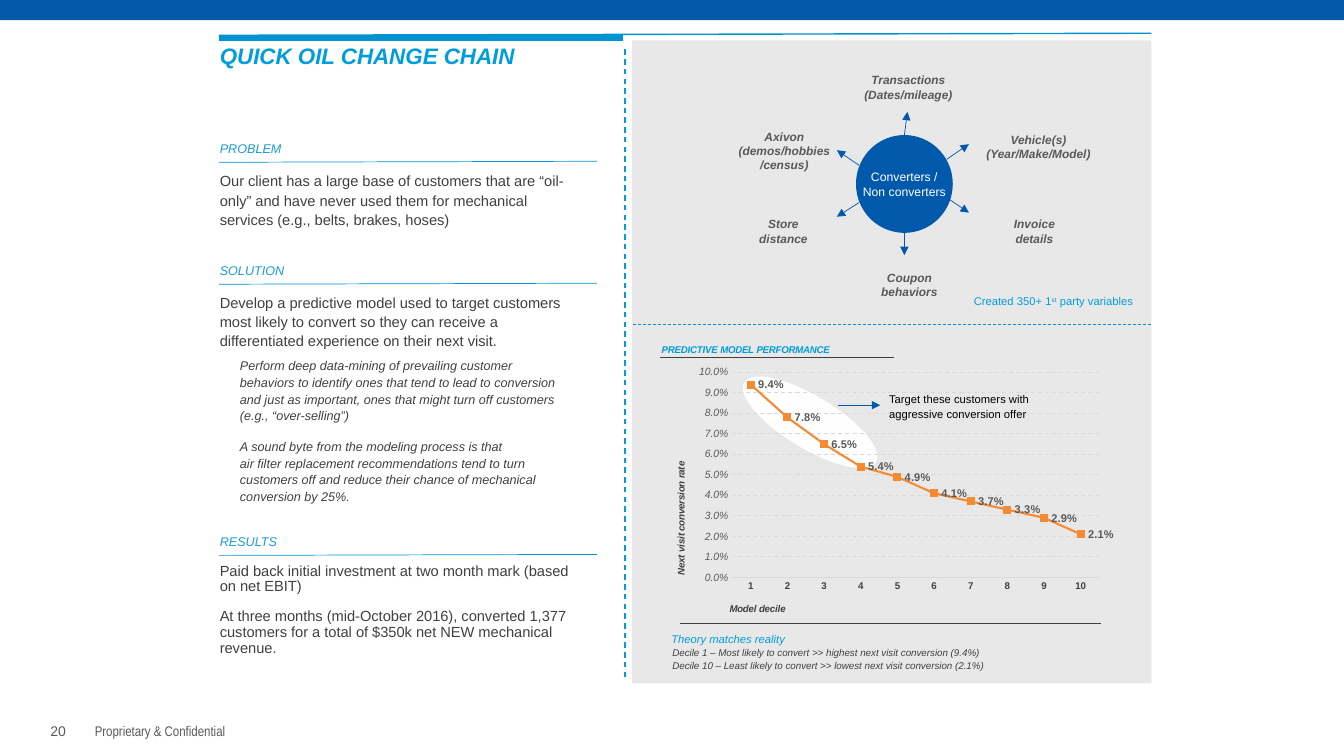
from copy import deepcopy
from dataclasses import dataclass

from pptx import Presentation
from pptx.chart.data import CategoryChartData
from pptx.dml.color import RGBColor
from pptx.enum.chart import XL_CHART_TYPE as ChartType, XL_LABEL_POSITION as LabelPosition, XL_TICK_MARK as TickMark
from pptx.enum.dml import MSO_LINE as Dash
from pptx.enum.shapes import MSO_CONNECTOR as Connector, MSO_SHAPE as Preset
from pptx.enum.text import MSO_ANCHOR as Anchor, MSO_AUTO_SIZE as AutoSize, PP_ALIGN as Align
from pptx.oxml import parse_xml
from pptx.oxml.ns import nsdecls, qn
from pptx.oxml.xmlchemy import OxmlElement
from pptx.util import Inches, Pt

CELL = Inches(0.1)


def style(color, size, **formats):
    """Return the format values of one kind of text."""
    return {"name": "Arial", "size": Pt(size), "color": RGBColor.from_string(color),
            "bold": False, "italic": False} | formats


@dataclass(frozen=True)
class Theme:
    """Colours and text styles of the slide."""
    bar = "005AAA"
    hub = "0059AB"
    rule = "0092D1"
    accent = "009DDC"
    ink = "404040"
    grid = "D9D9D9"
    white = "FFFFFF"
    series = "F68A33"
    title = style("009DDC", 16, bold=True, italic=True)
    heading = style("189CD7", 9, italic=True)
    body = style("404040", 10.5)
    detail = style("404040", 9, italic=True)
    label = style("595959", 8.5, bold=True, italic=True)
    hub_text = style("FFFFFF", 8.7)
    note = style("009DDC", 8)
    theory = style("009DDC", 8, italic=True)
    callout = style("000000", 8)
    decile = style("404040", 7, italic=True)
    number = style("595959", 10)
    footer = style("595959", 10, name="Arial Narrow")
    chart_title = style("009DDC", 7, bold=True, italic=True)
    axis_title = style("404040", 7, bold=True, italic=True)
    categories = style("404040", 7, bold=True)
    values = style("595959", 7.5, italic=True)
    data_label = style("595959", 8, bold=True)


THEME = Theme()


@dataclass(frozen=True)
class Box:
    """A region of the slide, measured in grid cells."""
    left: float
    top: float
    width: float
    height: float

    def point(self, x, y):
        """Return a slide position for a point inside the box."""
        return [int((self.left + x) * CELL), int((self.top + y) * CELL)]

    def place(self, x, y, width, height):
        """Return slide position and size of a part inside the box."""
        return self.point(x, y) + [int(width * CELL), int(height * CELL)]


def apply(target, formats):
    """Set attributes from a dict, with colour as an RGB value."""
    for name, value in formats.items():
        if name == "color":
            target.color.rgb = value
        else:
            setattr(target, name, value)


def write(frame, lines, formats, inset=0.1, anchor=Anchor.TOP, wrap=True, **paragraph_formats):
    """Write each line as a paragraph in one style."""
    apply(frame, {"word_wrap": wrap, "auto_size": AutoSize.NONE, "vertical_anchor": anchor,
                  "margin_left": Inches(inset), "margin_right": Inches(inset),
                  "margin_top": Inches(inset / 2), "margin_bottom": Inches(inset / 2)})
    for index, line in enumerate(lines):
        paragraph = frame.add_paragraph() if index else frame.paragraphs[0]
        paragraph.text = line
        apply(paragraph, paragraph_formats)
        for run in paragraph.runs:
            apply(run.font, formats)


def add_text(slide, place, lines, formats, **options):
    """Add a text box and return its text frame."""
    frame = slide.shapes.add_textbox(*place).text_frame
    write(frame, lines, formats, **options)
    return frame


def add_filled(slide, preset, place, color, opacity=100):
    """Add a borderless filled shape."""
    shape = slide.shapes.add_shape(preset, *place)
    shape.shadow.inherit = False
    shape.line.fill.background()
    shape.fill.solid()
    shape.fill.fore_color.rgb = RGBColor.from_string(color)
    if opacity < 100:
        alpha = OxmlElement("a:alpha")
        alpha.set("val", str(opacity * 1000))
        shape.fill._xPr.find(qn("a:solidFill"))[0].append(alpha)
    return shape


def add_line(slide, start, end, color, width=0.5, dash=None, arrow=False):
    """Add a straight rule or arrow."""
    connector = slide.shapes.add_connector(Connector.STRAIGHT, *start, *end)
    connector.line.width = Pt(width)
    connector.line.color.rgb = RGBColor.from_string(color)
    if dash:
        connector.line.dash_style = dash
    if arrow:
        tail = OxmlElement("a:tailEnd")
        tail.set("type", "triangle")
        connector.line._get_or_add_ln().append(tail)
    connector._element.spPr.append(OxmlElement("a:effectLst"))


def build_frame(slide, box):
    """Draw the top bar, the header rules and the footer."""
    add_filled(slide, Preset.RECTANGLE, box.place(0, 0, box.width, 2), THEME.bar)
    add_line(slide, box.point(21.7, 3.5), box.point(114.2, 3.3), THEME.rule, 1)
    add_line(slide, box.point(21.7, 3.8), box.point(61.8, 3.8), THEME.rule, 4.5)
    add_line(slide, box.point(62, 4.9), box.point(62, 67.4), THEME.accent, 1, Dash.DASH)
    add_text(slide, box.place(4, 69.8, 4.9, 4), ["20"], THEME.number, anchor=Anchor.BOTTOM)
    add_text(slide, box.place(8.9, 71.45, 24.8, 2), ["Proprietary & Confidential"], THEME.footer, inset=0.05)


def build_story(slide, box):
    """Fill the title and the problem, solution and results text."""
    title, body = slide.shapes.title, slide.placeholders[1]
    for shape, place in ((title, box.place(0, 0, 38, 3.7)), (body, box.place(0, 9.8, 36.7, 59.2))):
        shape.left, shape.top, shape.width, shape.height = place
    write(title.text_frame, ["QUICK OIL CHANGE CHAIN"], THEME.title, anchor=Anchor.MIDDLE, alignment=Align.LEFT)
    heading, text, detail = THEME.heading, THEME.body, THEME.detail
    story = [
        ("PROBLEM", heading, 0, 1, 0),
        ("Our client has a large base of customers that are “oil-only” and have never used them for mechanical services (e.g., belts, brakes, hoses)", text, 10, 1.1, 0),
        ("SOLUTION", heading, 23.3, 1.1, 0),
        ("Develop a predictive model used to target customers most likely to convert so they can receive a differentiated experience on their next visit.", text, 10, 1.1, 0),
        ("Perform deep data-mining of prevailing customer behaviors to identify ones that tend to lead to conversion and just as important, ones that might turn off customers (e.g., “over-selling”)", detail, 5, 1.1, 1),
        ("A sound byte from the modeling process is that\nair filter replacement recommendations tend to turn customers off and reduce their chance of mechanical conversion by 25%.", detail, 10, 1.1, 1),
        ("RESULTS", heading, 21.5, 1, 0),
        ("Paid back initial investment at two month mark (based on net EBIT)", text, 10, 0.9, 0),
        ("At three months (mid-October 2016), converted 1,377 customers for a total of $350k net NEW mechanical revenue.", text, 10, 0.9, 0),
    ]
    write(body.text_frame, [entry[0] for entry in story], text)
    for paragraph, (_, formats, before, spacing, level) in zip(body.text_frame.paragraphs, story):
        apply(paragraph, {"level": level, "space_before": Pt(before), "line_spacing": spacing})
        properties = paragraph._p.get_or_add_pPr()
        properties.set("marL", str(level * Inches(0.2)))
        properties.set("indent", "0")
        properties.append(OxmlElement("a:buNone"))
        for run in paragraph.runs:
            apply(run.font, formats)
        for line_break in paragraph._p.findall(qn("a:br")):
            line_break.insert(0, deepcopy(paragraph.runs[0]._r.rPr))
    for y in (12.4, 24.5, 51.4):
        add_line(slide, box.point(0.9, y), box.point(38.4, y - 0.1), THEME.rule)


def build_inputs(slide, box):
    """Draw the hub with its labelled data sources."""
    sources = [
        (["Transactions", "(Dates/mileage)"], (21.6, 2), (27, 9.4), (27.3, 7.1)),
        (["Vehicle(s)", "(Year/Make/Model)"], (34.5, 7.9), (31.2, 11.8), (33.4, 10.3)),
        (["Invoice", "details"], (34.1, 16.3), (31.2, 15.6), (33.4, 17.1)),
        (["Coupon", "behaviors"], (21.7, 21.6), (27, 19.1), (27, 21.3)),
        (["Store", "distance"], (9.2, 16.3), (22.5, 16.1), (20.3, 17.5)),
        (["Axivon", "(demos/hobbies", "/census)"], (9.3, 8.3), (22.5, 12.4), (20.3, 10.9)),
    ]
    hub = add_filled(slide, Preset.OVAL, box.place(22.2, 9.4, 9.6, 9.7), THEME.hub)
    centred = {"inset": 0, "anchor": Anchor.MIDDLE, "alignment": Align.CENTER}
    write(hub.text_frame, ["Converters /", "Non converters"], THEME.hub_text, wrap=False, **centred)
    for lines, corner, start, end in sources:
        add_text(slide, box.place(*corner, 11.6, 5.3), lines, THEME.label, **centred)
        add_line(slide, box.point(*start), box.point(*end), THEME.hub, arrow=True)
    note = add_text(slide, box.place(32.9, 24.7, 18.6, 2.4), ["Created 350+ 1"], THEME.note).paragraphs[0]
    for text, baseline in (("st", "30000"), (" party variables", "0")):
        run = note.add_run()
        run.text = text
        apply(run.font, THEME.note)
        run.font._element.set("baseline", baseline)
    add_line(slide, box.point(0.1, box.height), box.point(box.width, box.height), THEME.rule, dash=Dash.DASH)


def set_layout(element, index, target="", **shares):
    """Fix the place of a chart part as shares of the chart."""
    for layout in element.findall(qn("c:layout")):
        element.remove(layout)
    modes = {"xMode": "edge", "yMode": "edge"} | shares
    inner = target + "".join(f'<c:{name} val="{value}"/>' for name, value in modes.items())
    element.insert(index, parse_xml(
        f'<c:layout {nsdecls("c")}><c:manualLayout>{inner}</c:manualLayout></c:layout>'))


def add_chart_title(title, text, formats, x, y):
    """Write and place a chart or axis title."""
    frame = title.text_frame
    frame.text = text
    apply(frame.paragraphs[0].runs[0].font, formats)
    set_layout(title._element, 1, x=x, y=y)
    return frame


def add_conversion_chart(slide, place):
    """Add the line chart of conversion rate by decile."""
    data = CategoryChartData(number_format="0.0%")
    data.categories = [str(decile) for decile in range(1, 11)]
    data.add_series("Series 1", (0.094, 0.078, 0.065, 0.054, 0.049, 0.041, 0.037, 0.033, 0.029, 0.021))
    chart = slide.shapes.add_chart(ChartType.LINE, *place, data).chart
    apply(chart.font, THEME.callout)
    apply(chart, {"has_legend": False, "has_title": True})
    add_chart_title(chart.chart_title, "PREDICTIVE MODEL PERFORMANCE", THEME.chart_title, 0.01, 0.03)
    category_axis, value_axis = chart.category_axis, chart.value_axis
    for axis, formats in ((category_axis, THEME.categories), (value_axis, THEME.values)):
        apply(axis, {"major_tick_mark": TickMark.NONE, "minor_tick_mark": TickMark.NONE})
        apply(axis.tick_labels.font, formats)
    add_chart_title(category_axis.axis_title, "Model decile", THEME.axis_title, 0.16, 0.9)
    rate = add_chart_title(value_axis.axis_title, "Next visit conversion rate", THEME.axis_title, 0.04, 0.42)
    rate._txBody.bodyPr.set("rot", "-5400000")
    apply(value_axis, {"minimum_scale": 0, "maximum_scale": 0.1, "major_unit": 0.01})
    apply(value_axis.tick_labels, {"number_format": "0.0%", "number_format_is_linked": False})
    value_axis.format.line.fill.background()
    grid = {"color": RGBColor.from_string(THEME.grid), "width": Pt(0.75)}
    apply(category_axis.format.line, grid)
    apply(value_axis.major_gridlines.format.line, grid | {"dash_style": Dash.DASH})
    plot = chart.plots[0]
    plot.vary_by_categories = False
    series = plot.series[0]
    series.smooth = False
    series.marker.style = None
    apply(series.format.line, {"color": RGBColor.from_string(THEME.series), "width": Pt(1.5)})
    apply(series.data_labels, {"show_value": True, "position": LabelPosition.RIGHT,
                               "number_format": "0.0%", "number_format_is_linked": False})
    apply(series.data_labels.font, THEME.data_label)
    area = chart._chartSpace.chart.plotArea
    set_layout(area, 0, '<c:layoutTarget val="inner"/>', x=0.17, y=0.13, w=0.81, h=0.69)
    clear = parse_xml(f'<c:spPr {nsdecls("c", "a")}><a:noFill/><a:ln><a:noFill/></a:ln></c:spPr>')
    area.append(deepcopy(clear))
    chart._chartSpace.find(qn("c:txPr")).addprevious(clear)


def build_performance(slide, box):
    """Draw the chart with its highlight, callout and reading notes."""
    highlight = add_filled(slide, Preset.OVAL, box.place(10, 7.1, 15.3, 5.2), THEME.white, 97)
    highlight.rotation = 31.2
    add_conversion_chart(slide, box.place(2.3, 0.9, 45.5, 29.5))
    for left, right, y in ((2.8, 26, 3.3), (4.7, 46.5, 29.6)):
        add_line(slide, box.point(left, y), box.point(right, y), THEME.ink)
    add_line(slide, box.point(20.4, 8), box.point(24.6, 8), THEME.hub, arrow=True)
    add_text(slide, box.place(24.5, 6.1, 18.8, 3.9), ["Target these customers with aggressive conversion offer"],
             THEME.callout, line_spacing=1.1)
    add_text(slide, box.place(2.9, 30, 20, 2.4), ["Theory matches reality"], THEME.theory)
    add_text(slide, box.place(3, 31.4, 38.4, 3.6),
             ["Decile 1 – Most likely to convert >> highest next visit conversion (9.4%)",
              "Decile 10 – Least likely to convert >> lowest next visit conversion (2.1%)"],
             THEME.decile, line_spacing=1.1)


def main():
    """Build and save the slide."""
    presentation = Presentation()
    presentation.slide_width, presentation.slide_height = Inches(13.33), Inches(7.5)
    slide = presentation.slides.add_slide(presentation.slide_layouts[1])
    panel = Box(62.7, 4, 51.5, 63.8)
    build_frame(slide, Box(0, 0, 133.3, 75))
    build_story(slide, Box(20.8, 3.7, 40.4, 69))
    add_filled(slide, Preset.RECTANGLE, panel.place(0, 0, panel.width, panel.height), THEME.grid, 59)
    build_inputs(slide, Box(panel.left, panel.top, panel.width, 28.2))
    build_performance(slide, Box(panel.left, panel.top + 28.2, panel.width, 35.6))
    presentation.save("out.pptx")


if __name__ == "__main__":
    main()
